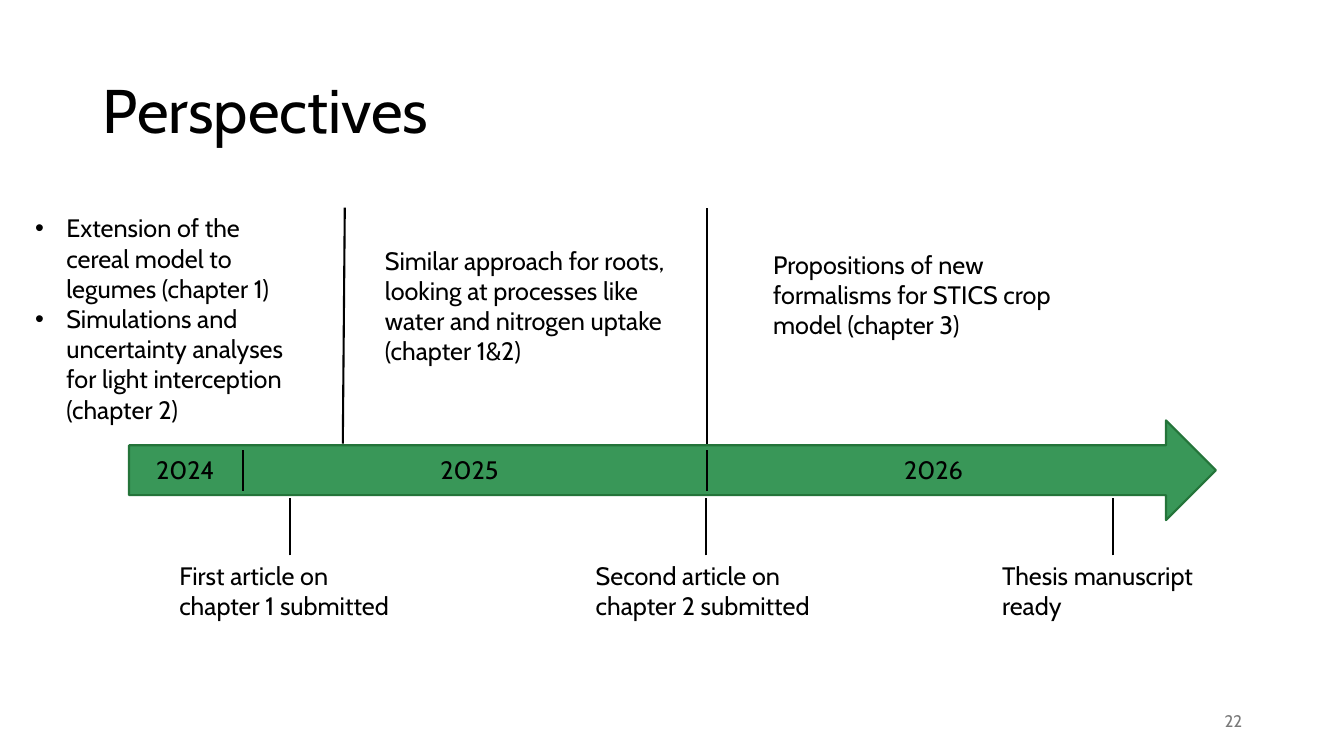
"""Build the thesis perspectives timeline slide."""
from dataclasses import dataclass

from lxml.etree import SubElement
from pptx import Presentation
from pptx.dml.color import RGBColor
from pptx.enum.shapes import MSO_CONNECTOR, MSO_SHAPE
from pptx.enum.text import MSO_ANCHOR, MSO_AUTO_SIZE, PP_ALIGN
from pptx.oxml.ns import qn
from pptx.shapes.autoshape import Shape
from pptx.shapes.connector import Connector
from pptx.util import Inches, Pt

BLACK = RGBColor(0x00, 0x00, 0x00)
GRAY = RGBColor(0x79, 0x79, 0x79)
GREEN = RGBColor(0x39, 0x97, 0x58)
DARK_GREEN = RGBColor(0x24, 0x74, 0x3A)

BODY_FORMAT = {"name": "Cabin", "size": Pt(18)}
TITLE_FORMAT = {"name": "Cabin", "size": Pt(44)}
NUMBER_FORMAT = {"name": "Cabin", "size": Pt(12)}
GROWING_FRAME = {"word_wrap": True, "auto_size": MSO_AUTO_SIZE.SHAPE_TO_FIT_TEXT}
CENTERED_FRAME = {"word_wrap": True, "vertical_anchor": MSO_ANCHOR.MIDDLE}
BULLET_INDENT = Inches(0.31)
MILESTONE_TOP, MILESTONE_WIDTH = 5.51, 2.39
YEAR_TOP = 4.46


@dataclass(frozen=True)
class TextBlock:
    paragraphs: tuple[str, ...]
    left: float
    top: float
    width: float
    height: float
    bulleted: bool = False


@dataclass(frozen=True)
class Divider:
    bottom_x: float
    bottom: float
    top_x: float
    top: float


def milestone(text: str, left: float) -> TextBlock:
    return TextBlock((text,), left, MILESTONE_TOP, MILESTONE_WIDTH, 0.71)


TITLE = TextBlock(("Perspectives",), 0.92, 0.4, 11.5, 1.45)
SLIDE_NUMBER = TextBlock(("22",), 9.42, 6.95, 3, 0.4)
YEARS = [
    TextBlock((year,), left, YEAR_TOP, 1.07, 0.4)
    for year, left in (("2024", 1.45), ("2025", 4.27), ("2026", 8.87))
]
YEAR_DIVIDERS = [Divider(x, 4.87, x, YEAR_TOP) for x in (2.41, 7.01)]
TASK_DIVIDERS = [Divider(3.4, 4.4, 3.42, 2.06), Divider(7.01, 4.4, 7.01, 2.06)]
TASKS = [
    TextBlock(
        (
            "Extension of the cereal model to legumes (chapter 1)",
            "Simulations and uncertainty analyses for light interception (chapter 2)",
        ),
        0.25, 2.06, 2.85, 2.22, bulleted=True,
    ),
    TextBlock(
        ("Similar approach for roots, looking at processes like water and nitrogen uptake (chapter 1&2)",),
        3.72, 2.38, 3.17, 1.31,
    ),
    TextBlock(
        ("Propositions of new formalisms for STICS crop model (chapter 3)",),
        7.57, 2.42, 3.17, 1.01,
    ),
]
MILESTONES = [
    milestone("First article on chapter 1 submitted", 1.68),
    milestone("Second article on chapter 2 submitted", 5.81),
    milestone("Thesis manuscript ready", 9.84),
]


def apply_format(target: object, values: dict) -> None:
    for name, value in values.items():
        setattr(target, name, value)


def add_bullet(paragraph) -> None:
    properties = paragraph._p.get_or_add_pPr()
    properties.set("marL", str(BULLET_INDENT))
    properties.set("indent", str(-BULLET_INDENT))
    SubElement(properties, qn("a:buFont")).set("typeface", "Arial")
    SubElement(properties, qn("a:buChar")).set("char", "•")


def add_text(
    shapes,
    block: TextBlock,
    font_format: dict = BODY_FORMAT,
    frame_format: dict = GROWING_FRAME,
    color: RGBColor = BLACK,
) -> Shape:
    box = shapes.add_textbox(
        Inches(block.left), Inches(block.top), Inches(block.width), Inches(block.height)
    )
    frame = box.text_frame
    apply_format(frame, frame_format)
    frame.text = "\n".join(block.paragraphs)
    for paragraph in frame.paragraphs:
        if block.bulleted:
            add_bullet(paragraph)
        for run in paragraph.runs:
            apply_format(run.font, font_format)
            run.font.color.rgb = color
    return box


def add_divider(shapes, divider: Divider) -> Connector:
    connector = shapes.add_connector(
        MSO_CONNECTOR.STRAIGHT,
        Inches(divider.bottom_x), Inches(divider.bottom),
        Inches(divider.top_x), Inches(divider.top),
    )
    connector.line.color.rgb = BLACK
    connector.line.width = Pt(1.5)
    SubElement(connector._element.spPr, qn("a:effectLst"))
    return connector


def add_timeline(shapes) -> None:
    timeline = shapes.add_group_shape().shapes
    arrow = timeline.add_shape(
        MSO_SHAPE.RIGHT_ARROW, Inches(1.28), Inches(4.17), Inches(10.78), Inches(0.99)
    )
    arrow.shadow.inherit = False
    arrow.fill.solid()
    arrow.fill.fore_color.rgb = GREEN
    arrow.line.color.rgb = DARK_GREEN
    arrow.line.width = Pt(1.5)
    for year in YEARS:
        add_text(timeline, year)
    for divider in YEAR_DIVIDERS:
        add_divider(timeline, divider)


def add_milestone(shapes, block: TextBlock) -> None:
    box = add_text(shapes, block)
    center = block.left + block.width / 2
    connector = add_divider(shapes, Divider(center, block.top, center, 4.94))
    connector.begin_connect(box, 0)


def main() -> None:
    presentation = Presentation()
    presentation.slide_width = Inches(13.33)
    presentation.slide_height = Inches(7.5)
    slide = presentation.slides.add_slide(presentation.slide_layouts[6])
    shapes = slide.shapes
    title = add_text(shapes, TITLE, TITLE_FORMAT, CENTERED_FRAME)
    title.text_frame.paragraphs[0].line_spacing = 0.9
    number = add_text(shapes, SLIDE_NUMBER, NUMBER_FORMAT, CENTERED_FRAME, GRAY)
    number.text_frame.paragraphs[0].alignment = PP_ALIGN.RIGHT
    add_timeline(shapes)
    for task in TASKS:
        add_text(shapes, task)
    for divider in TASK_DIVIDERS:
        add_divider(shapes, divider)
    for block in MILESTONES:
        add_milestone(shapes, block)
    presentation.save("out.pptx")


if __name__ == "__main__":
    main()
